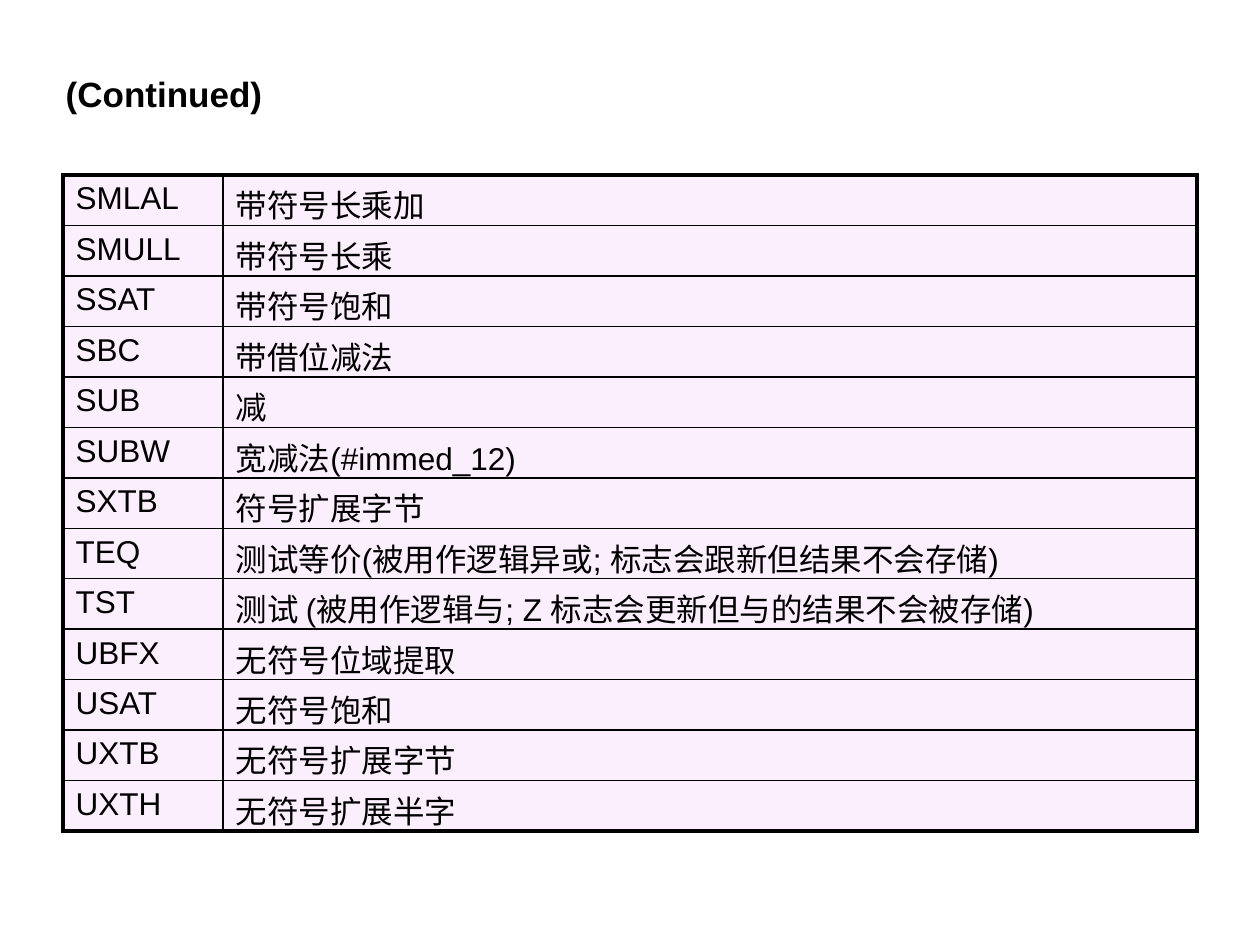
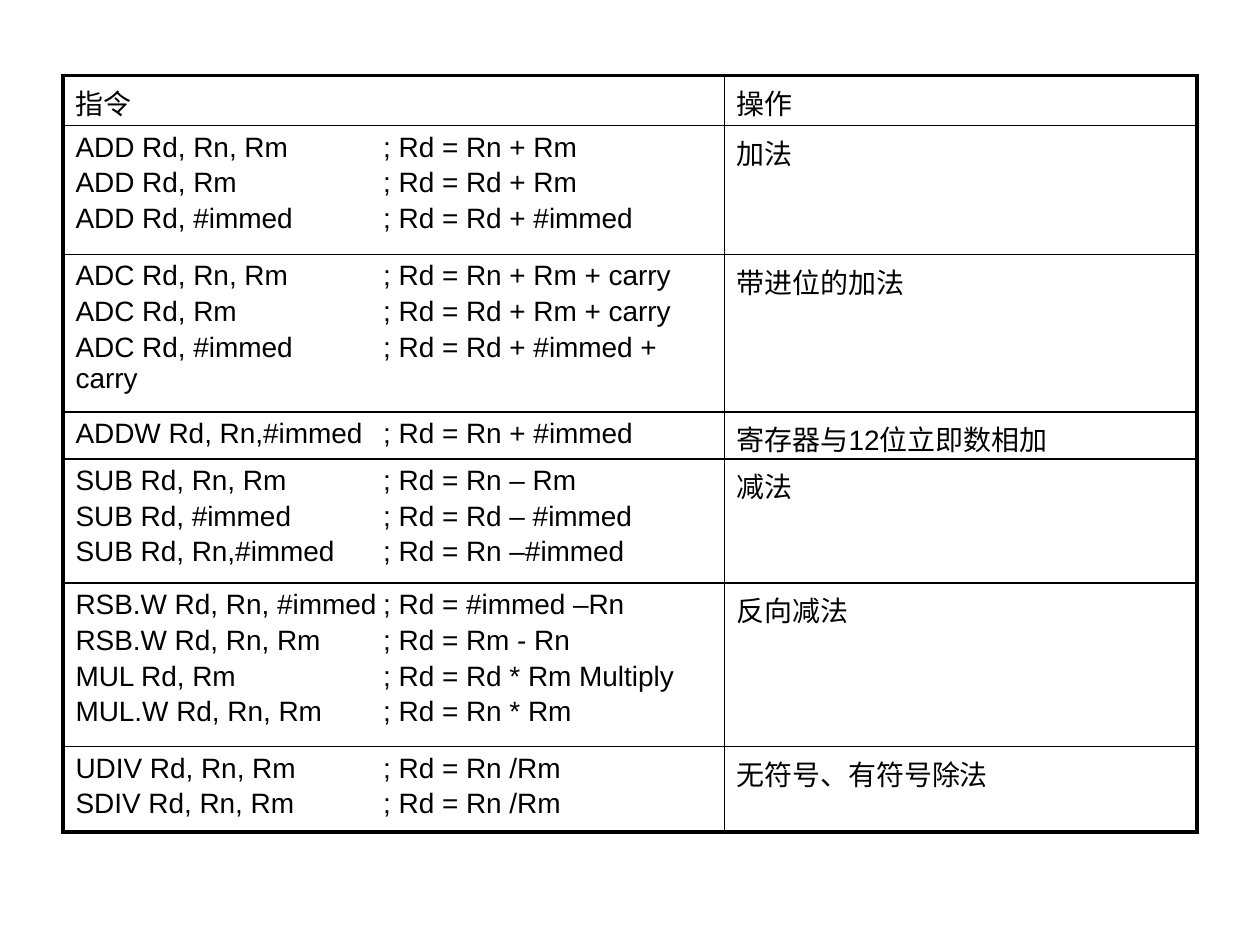
from lxml import etree
from pptx import Presentation
from pptx.dml.color import RGBColor
from pptx.enum import text
from pptx.oxml import ns
from pptx.util import Cm, Pt

BLACK = RGBColor(0x00, 0x00, 0x00)
PINK = RGBColor(0xFB, 0xE0, 0xFC)
FONT = "Arial"
TABLE_LEFT = Cm(1.27)
THICK, THIN = Pt(2.25), Pt(1)
CODE_TAB = Cm(6.2)  # where the ";" comments start


def sub(parent, tag, **attrs):
    e = etree.SubElement(parent, ns.qn(tag))
    for name, value in attrs.items():
        e.set(name, str(value))
    return e


def build_table(s, rows, top, col_widths, row_heights, size, fill=None):
    shape = s.shapes.add_table(len(rows), len(col_widths), TABLE_LEFT, top,
                               sum(col_widths), sum(row_heights))
    table = shape.table
    table.first_row = table.horz_banding = False
    for col, width in zip(table.columns, col_widths):
        col.width = width
    for row, height in zip(table.rows, row_heights):
        row.height = height

    last_r, last_c = len(rows) - 1, len(col_widths) - 1
    for r, values in enumerate(rows):
        for c, value in enumerate(values):
            cell = table.cell(r, c)
            # Thick frame outside, thin rules inside
            tc_pr = cell._tc.get_or_add_tcPr()
            outer = {"L": c == 0, "R": c == last_c, "T": r == 0, "B": r == last_r}
            for side, is_outer in outer.items():
                ln = sub(tc_pr, "a:ln" + side, w=int(THICK if is_outer else THIN))
                sub(sub(ln, "a:solidFill"), "a:srgbClr", val=BLACK)
            # Half-transparent fill, or none
            if fill is None:
                cell.fill.background()
            else:
                cell.fill.solid()
                cell.fill.fore_color.rgb = fill
                fill_color = tc_pr.find(ns.qn("a:solidFill"))[0]
                sub(fill_color, "a:alpha", val=50000)
            # Text, one paragraph a line
            cell.text_frame.text = value
            for i, p in enumerate(cell.text_frame.paragraphs):
                if "\t" in p.text:
                    tabs = sub(p._p.get_or_add_pPr(), "a:tabLst")
                    sub(tabs, "a:tab", pos=int(CODE_TAB), algn="l")
                if i:
                    p.space_before = Pt(2.7)
                for run in p.runs:
                    run.font.name, run.font.size = FONT, Pt(size)
                    run.font.color.rgb = BLACK


prs = Presentation()
prs.slide_width, prs.slide_height = Cm(25.4), Cm(19.05)

# Slide 1: instruction list, continued
s = prs.slides.add_slide(prs.slide_layouts[5])
title = s.shapes.title
title.left, title.top, title.width, title.height = Cm(1.07), Cm(1.32), Cm(4.52), Cm(1.12)
tf = title.text_frame
tf.text = "(Continued)"
tf.word_wrap = False
tf.auto_size = text.MSO_AUTO_SIZE.SHAPE_TO_FIT_TEXT
p = tf.paragraphs[0]
p.alignment = text.PP_ALIGN.LEFT
font = p.runs[0].font
font.name, font.size, font.bold = FONT, Pt(20), True
font.color.rgb = BLACK

instructions = [
    ("SMLAL", "带符号长乘加"),
    ("SMULL", "带符号长乘"),
    ("SSAT", "带符号饱和"),
    ("SBC", "带借位减法"),
    ("SUB", "减"),
    ("SUBW", "宽减法(#immed_12)"),
    ("SXTB", "符号扩展字节"),
    ("TEQ", "测试等价(被用作逻辑异或; 标志会跟新但结果不会存储)"),
    ("TST", "测试 (被用作逻辑与; Z 标志会更新但与的结果不会被存储)"),
    ("UBFX", "无符号位域提取"),
    ("USAT", "无符号饱和"),
    ("UXTB", "无符号扩展字节"),
    ("UXTH", "无符号扩展半字"),
]
row_height = Cm(13.2) // len(instructions)
build_table(s, instructions, Cm(3.53), [Cm(3.23), Cm(19.63)],
            [row_height] * len(instructions), 18, PINK)

# Slide 2: arithmetic instructions
s = prs.slides.add_slide(prs.slide_layouts[6])
arithmetic = [
    ("指令", "操作"),
    ("ADD Rd, Rn, Rm\t; Rd = Rn + Rm\n"
     "ADD Rd, Rm\t; Rd = Rd + Rm\n"
     "ADD Rd, #immed\t; Rd = Rd + #immed", "加法"),
    ("ADC Rd, Rn, Rm\t; Rd = Rn + Rm + carry\n"
     "ADC Rd, Rm\t; Rd = Rd + Rm + carry\n"
     "ADC Rd, #immed\t; Rd = Rd + #immed + carry", "带进位的加法"),
    ("ADDW Rd, Rn,#immed\t; Rd = Rn + #immed", "寄存器与12位立即数相加"),
    ("SUB Rd, Rn, Rm\t; Rd = Rn – Rm\n"
     "SUB Rd, #immed\t; Rd = Rd – #immed\n"
     "SUB Rd, Rn,#immed\t; Rd = Rn –#immed", "减法"),
    ("RSB.W Rd, Rn, #immed\t; Rd = #immed –Rn\n"
     "RSB.W Rd, Rn, Rm\t; Rd = Rm - Rn\n"
     "MUL Rd, Rm\t; Rd = Rd * Rm Multiply\n"
     "MUL.W Rd, Rn, Rm\t; Rd = Rn * Rm", "反向减法"),
    ("UDIV Rd, Rn, Rm\t; Rd = Rn /Rm\n"
     "SDIV Rd, Rn, Rm\t; Rd = Rn /Rm", "无符号、有符号除法"),
]
heights = [Cm(h) for h in (1.01, 2.6, 3.18, 0.94, 2.5, 3.3, 1.72)]
build_table(s, arithmetic, Cm(1.52), [Cm(13.33), Cm(9.53)], heights, 16)

prs.save("out.pptx")
